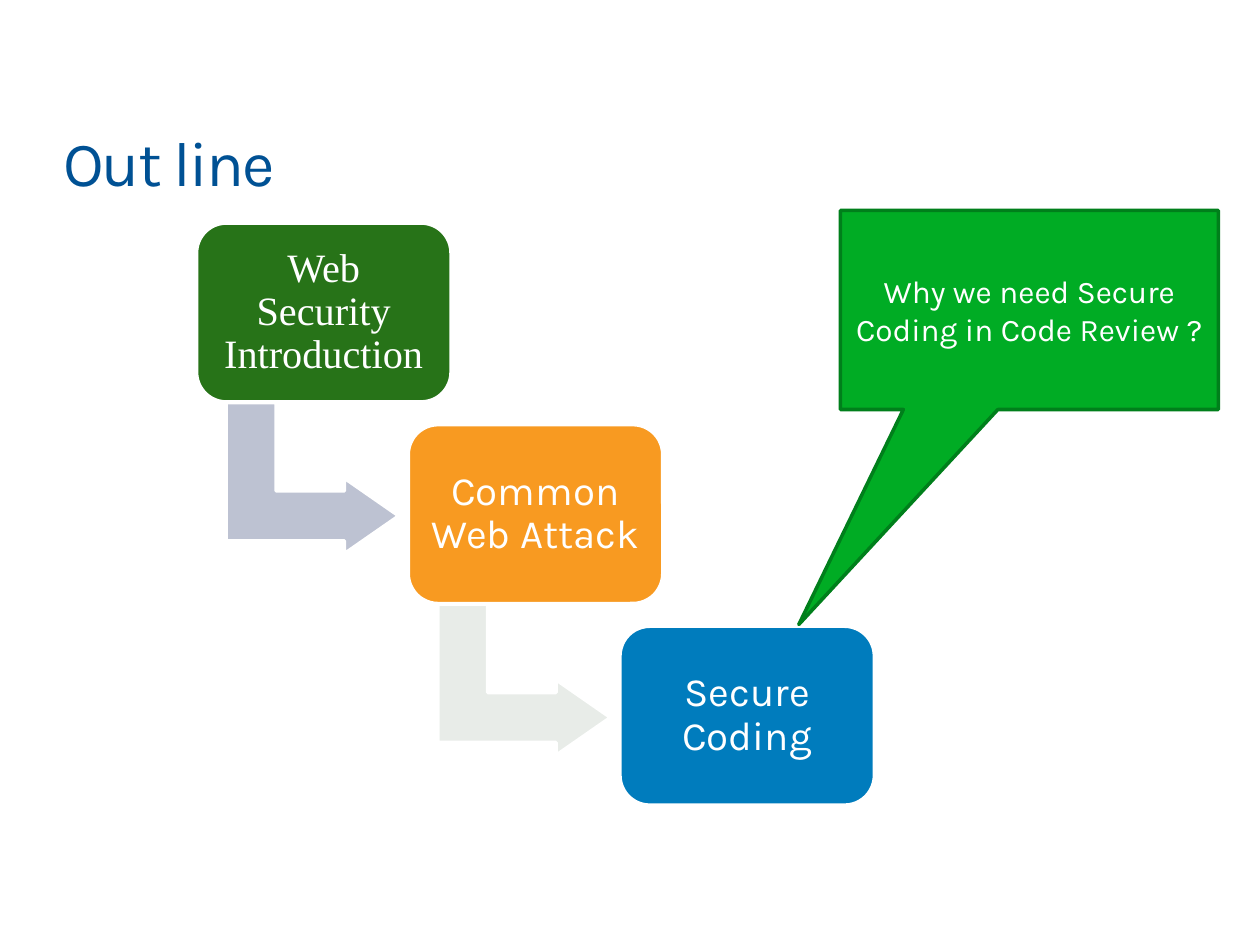
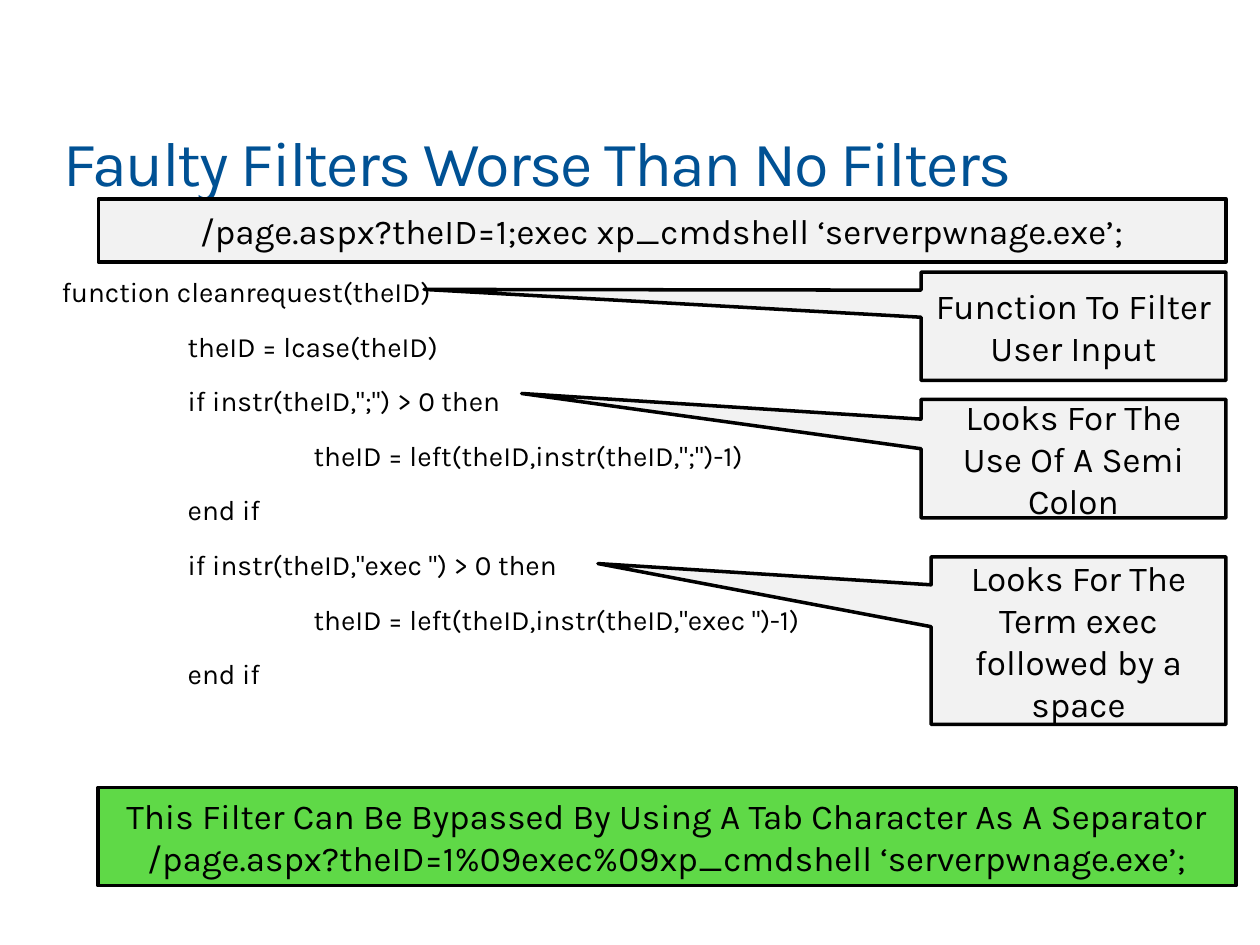
"""Builds two slides on secure coding: an outline and a faulty filter example."""
from pptx import Presentation
from pptx.dml.color import RGBColor
from pptx.enum.shapes import MSO_SHAPE
from pptx.enum.text import MSO_ANCHOR, MSO_AUTO_SIZE, PP_ALIGN
from pptx.util import Inches, Pt

NAVY = RGBColor(0x00, 0x51, 0x94)
WHITE = RGBColor(0xFF, 0xFF, 0xFF)
BLACK = RGBColor(0x00, 0x00, 0x00)
PALE = RGBColor(0xF2, 0xF2, 0xF2)
LIME = RGBColor(0x5F, 0xD9, 0x47)
GREEN = RGBColor(0x00, 0xAC, 0x24)
MOSS = RGBColor(0x00, 0x7F, 0x1B)
FOREST = RGBColor(0x27, 0x73, 0x18)
ORANGE = RGBColor(0xF8, 0x9A, 0x21)
BLUE = RGBColor(0x00, 0x7C, 0xBD)
MIST = RGBColor(0xBD, 0xC2, 0xD2)
SILVER = RGBColor(0xE8, 0xEC, 0xE8)

FONT = "Karla"
SERIF = "Times New Roman"

STEPS = [
    ("Web Security Introduction", FOREST, SERIF, MIST),
    ("Common Web Attack", ORANGE, FONT, SILVER),
    ("Secure Coding", BLUE, FONT, None),
]

CODE = """function cleanrequest(theID)
\ttheID = lcase(theID)
\tif instr(theID,";") > 0 then
\t\ttheID = left(theID,instr(theID,";")-1)
\tend if
\tif instr(theID,"exec ") > 0 then
\t\ttheID = left(theID,instr(theID,"exec ")-1)
\tend if"""

NOTES = [
    ("Function To Filter User Input", (7.31, 2.16, 2.42, 0.86), (-2.13, -0.34)),
    ("Looks For The Use Of A Semi Colon", (7.31, 3.17, 2.42, 0.94), (-1.81, -0.55)),
    ("Looks For The Term exec followed by a space", (7.39, 4.42, 2.34, 1.33), (-1.63, -0.46)),
]

ATTACK = "/page.aspx?theID=1;exec xp_cmdshell ‘serverpwnage.exe’;"
BYPASS = """This Filter Can Be Bypassed By Using A Tab Character As A Separator
/page.aspx?theID=1%09exec%09xp_cmdshell ‘serverpwnage.exe’;"""


def write(frame, text, size=20, color=BLACK, font=FONT, align=PP_ALIGN.CENTER,
          anchor=MSO_ANCHOR.MIDDLE, inset=(0.1, 0.05), line=None, gap=0, track=0):
    """Fill a frame line by line; leading tabs become one-inch indents."""
    frame.word_wrap = True
    frame.auto_size = MSO_AUTO_SIZE.NONE
    frame.vertical_anchor = anchor
    frame.margin_left = frame.margin_right = Inches(inset[0])
    frame.margin_top = frame.margin_bottom = Inches(inset[1])
    for row, words in enumerate(text.split("\n")):
        para = frame.add_paragraph() if row else frame.paragraphs[0]
        para.alignment = align
        para.line_spacing = line
        para.space_before = Pt(gap if row else 0)
        plain = words.lstrip("\t")
        depth = len(words) - len(plain)
        if depth:
            para._p.get_or_add_pPr().set("marL", str(Inches(depth)))
        run = para.add_run()
        run.text = plain
        run.font.name = font
        run.font.size = Pt(size)
        run.font.color.rgb = color
        if track:
            run.font._element.set("spc", str(track * 100))


def place(item, box):
    """Set position and size in inches."""
    item.left, item.top, item.width, item.height = map(Inches, box)


def shape(slide, kind, box, fill, edge=BLACK, adjust=()):
    """Add a flat preset shape with a two-point outline."""
    item = slide.shapes.add_shape(kind, *map(Inches, box))
    item.shadow.inherit = False
    item.fill.solid()
    item.fill.fore_color.rgb = fill
    item.line.color.rgb = edge
    item.line.width = Pt(2)
    for index, value in enumerate(adjust):
        item.adjustments[index] = value
    return item


def panel(slide, text, box, fill=PALE):
    """Add a bordered band of centred text."""
    write(shape(slide, MSO_SHAPE.RECTANGLE, box, fill).text_frame, text)


def callout(slide, text, box, tip, fill=PALE, edge=BLACK, **style):
    """Add a wedge callout whose tip is relative to its centre."""
    item = shape(slide, MSO_SHAPE.RECTANGULAR_CALLOUT, box, fill, edge, tip)
    write(item.text_frame, text, **style)


def stairs(slide):
    """Add the descending steps joined by bent arrows."""
    for index, (text, fill, font, bend) in enumerate(STEPS):
        left, top = 1.56 + 1.68 * index, 1.77 + 1.6 * index
        if bend:
            arrow = shape(slide, MSO_SHAPE.BENT_UP_ARROW, (left + 0.32, top + 1.34, 1.2, 1.37),
                          bend, WHITE, (0.33, 0.25, 0.36))
            arrow.rotation = 90
        step = shape(slide, MSO_SHAPE.ROUNDED_RECTANGLE, (left, top, 2.02, 1.42), fill, WHITE)
        write(step.text_frame, text, size=23, color=WHITE, font=font, inset=(0.1, 0.1), line=0.9)


def start(deck, title):
    """Add a title-only slide and format its title."""
    slide = deck.slides.add_slide(deck.slide_layouts[5])
    place(slide.shapes.title, (0.5, 0.98, 9, 0.61))
    write(slide.shapes.title.text_frame, title, size=36, color=NAVY, align=PP_ALIGN.LEFT,
          anchor=MSO_ANCHOR.TOP, inset=(0, 0), track=-1)
    return slide


def main():
    """Build and save the deck."""
    deck = Presentation()
    deck.slide_width, deck.slide_height = Inches(10), Inches(7.5)

    slide = start(deck, "Out line")
    stairs(slide)
    callout(slide, "Why we need Secure Coding in Code Review ?", (6.67, 1.67, 3, 1.58),
            (-0.61, 1.58), GREEN, MOSS, size=18, color=WHITE)

    slide = start(deck, "Faulty Filters Worse Than No Filters")
    code = slide.shapes.add_textbox(*map(Inches, (0.49, 2.18, 9, 3.78)))
    write(code.text_frame, CODE, size=16, align=PP_ALIGN.LEFT, anchor=MSO_ANCHOR.TOP,
          inset=(0, 0), gap=12)
    for text, box, tip in NOTES:
        callout(slide, text, box, tip)
    panel(slide, BYPASS, (0.78, 6.25, 9.03, 0.78), LIME)
    panel(slide, ATTACK, (0.78, 1.58, 8.95, 0.5))

    deck.save("out.pptx")


if __name__ == "__main__":
    main()
